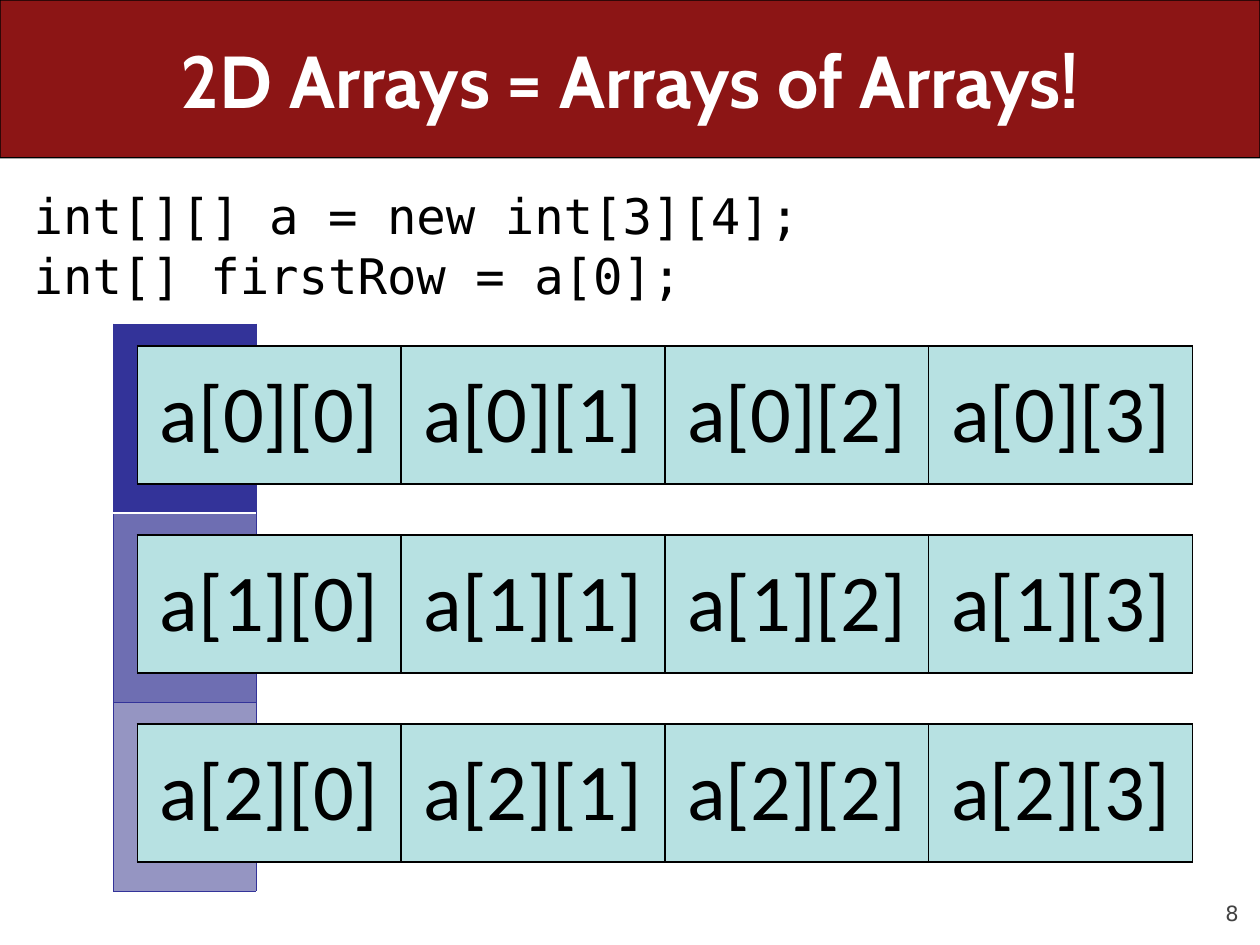
from lxml.etree import SubElement
from pptx import Presentation
from pptx.dml.color import RGBColor
from pptx.enum.shapes import MSO_SHAPE as Shape
from pptx.enum.text import MSO_ANCHOR as Anchor, PP_ALIGN as Align
from pptx.oxml.ns import qn
from pptx.util import Cm, Pt

ROWS, COLUMNS = 3, 4
ROW_PITCH = 3.81
SPINE_FILLS = ["333399", "6E6EB2", "9595C2"]
CODE = ["int[][] a = new int[3][4];", "int[] firstRow = a[0];"]


def color(value):
    return RGBColor.from_string(value)


def set_font(para, name, size, value, bold=False):
    para.font.name = name
    para.font.size = Pt(size)
    para.font.bold = bold
    para.font.color.rgb = color(value)


def place(shape, left, top, width, height):
    shape.left, shape.top = Cm(left), Cm(top)
    shape.width, shape.height = Cm(width), Cm(height)


def set_border(cell, value, width, sides="LRTB"):
    """Draw the given cell sides; call before the cell is filled."""
    properties = cell._tc.get_or_add_tcPr()
    for side in sides:
        line = SubElement(properties, qn(f"a:ln{side}"), w=str(Pt(width)))
        fill = SubElement(line, qn("a:solidFill"))
        SubElement(fill, qn("a:srgbClr"), val=value)


def fill_cell(cell, value):
    cell.fill.solid()
    cell.fill.fore_color.rgb = color(value)


def add_plain_table(slide, rows, columns, left, top, width, height):
    frame = slide.shapes.add_table(rows, columns, Cm(left), Cm(top), Cm(width), Cm(height))
    table = frame.table
    table.first_row = table.horz_banding = False
    return table


def add_banner_title(slide, text):
    banner = slide.shapes.add_shape(Shape.ROUNDED_RECTANGLE, 0, 0, Cm(25.4), Cm(3.18))
    banner.adjustments[0] = 0.001
    banner.shadow.inherit = False
    banner.fill.solid()
    banner.fill.fore_color.rgb = color("8C1515")
    banner.line.color.rgb = color("000000")
    banner.line.width = Pt(0.75)

    title = slide.shapes.title
    banner.element.addnext(title.element)  # the title lies above its banner
    place(title, 1.27, 0, 22.86, 3.18)
    title.text_frame.text = text
    title.text_frame.vertical_anchor = Anchor.MIDDLE
    para = title.text_frame.paragraphs[0]
    para.alignment = Align.CENTER
    set_font(para, "Cabin", 42, "FFFFFF", bold=True)


def add_code(slide, lines):
    box = slide.shapes.add_textbox(Cm(0.43), Cm(3.61), Cm(24.56), Cm(14.4))
    box.text_frame.word_wrap = True
    box.text_frame.text = "\n".join(lines)
    for index, para in enumerate(box.text_frame.paragraphs):
        para.space_before = Pt(1 if index else 0)
        set_font(para, "DejaVu Sans Mono", 28, "000000")


def add_spine(slide):
    """Add the outer array, whose cells hold the row arrays."""
    table = add_plain_table(slide, ROWS, 1, 2.29, 6.53, 2.87, ROWS * ROW_PITCH)
    for row, value in enumerate(SPINE_FILLS):
        cell = table.cell(row, 0)
        set_border(cell, "333399", 0.5, "LR")
        for side, edge in (("T", row), ("B", row + 1)):
            if edge == 1:
                set_border(cell, "FFFFFF", 1, side)
            else:
                set_border(cell, "333399", 0.5, side)
        fill_cell(cell, value)


def add_row_array(slide, row):
    table = add_plain_table(slide, 1, COLUMNS, 2.77, 6.97 + row * ROW_PITCH, 21.27, 2.79)
    for column in range(COLUMNS):
        cell = table.cell(0, column)
        set_border(cell, "000000", 1)
        fill_cell(cell, "B7E1E2")
        cell.vertical_anchor = Anchor.MIDDLE
        cell.text = f"a[{row}][{column}]"
        para = cell.text_frame.paragraphs[0]
        para.alignment = Align.CENTER
        set_font(para, "Calibri", 46, "000000")


def add_page_number(slide, number):
    box = slide.shapes.add_textbox(Cm(22.86), Cm(17.65), Cm(2.11), Cm(1.02))
    frame = box.text_frame
    frame.word_wrap = True
    frame.margin_left = frame.margin_right = frame.margin_top = frame.margin_bottom = 0
    frame.vertical_anchor = Anchor.BOTTOM
    frame.text = str(number)
    para = frame.paragraphs[0]
    para.alignment = Align.RIGHT
    set_font(para, "DejaVu Sans", 12, "424242")


def main():
    deck = Presentation()
    deck.slide_width, deck.slide_height = Cm(25.4), Cm(19.05)
    slide = deck.slides.add_slide(deck.slide_layouts[5])
    add_banner_title(slide, "2D Arrays = Arrays of Arrays!")
    add_code(slide, CODE)
    add_spine(slide)
    for row in range(ROWS):
        add_row_array(slide, row)
    add_page_number(slide, 8)
    deck.save("out.pptx")


if __name__ == "__main__":
    main()
